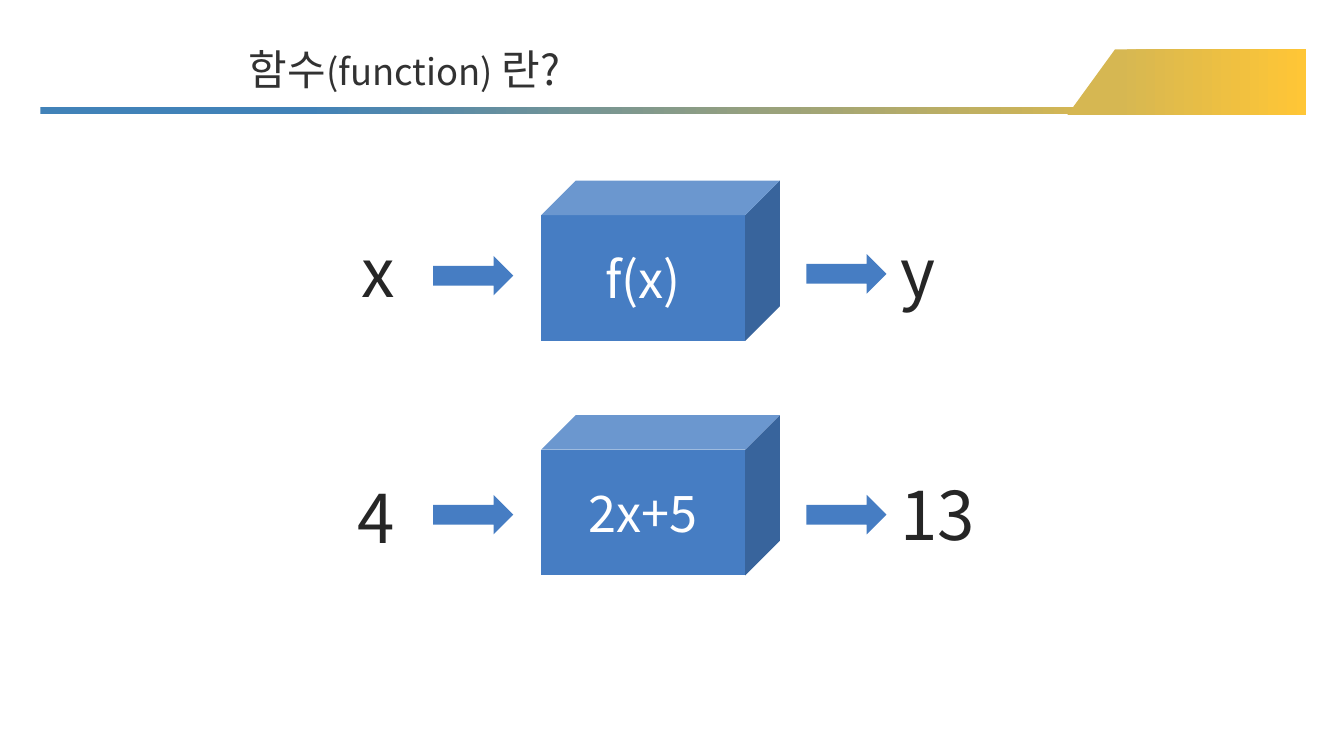
from dataclasses import dataclass

from lxml import etree
from pptx import Presentation
from pptx import util as u
from pptx.dml.color import RGBColor
from pptx.enum import shapes, text
from pptx.oxml import ns


@dataclass(frozen=True)
class Theme:
    font: str = "Noto Sans CJK KR"
    blue: str = "467DC3"
    white: str = "FFFFFF"
    title_ink: str = "323232"
    value_ink: str = "262626"
    bar: tuple = ("4182B8", "FFC636")
    tab: tuple = ("D6B752", "FFC636")
    title_size: int = 30
    title_small: int = 26
    box_size: int = 36
    value_size: int = 48


def points(*lengths):
    return [u.Pt(length) for length in lengths]


def apply(target, values):
    for name, value in values.items():
        setattr(target, name, value)


class SlideBuilder:
    def __init__(self, presentation, theme):
        self.theme = theme
        self.slide = presentation.slides.add_slide(presentation.slide_layouts[5])

    def fill_text(self, shape, runs, color, align, frame_format):
        apply(shape.text_frame, frame_format)
        paragraph = shape.text_frame.paragraphs[0]
        paragraph.alignment = align
        for words, size in runs:
            run = paragraph.add_run()
            run.text = words
            apply(run.font, {"name": self.theme.font, "size": u.Pt(size)})
            run.font.color.rgb = RGBColor.from_string(color)
            properties = run._r.get_or_add_rPr()
            east_asian = etree.SubElement(properties, ns.qn("a:ea"))
            east_asian.set("typeface", self.theme.font)

    def gradient(self, shape, colors):
        shape.shadow.inherit = False
        shape.line.fill.background()
        shape.fill.gradient()
        shape.fill.gradient_angle = 0
        for stop, position, color in zip(shape.fill.gradient_stops, (0.21, 1), colors):
            stop.position = position
            stop.color.rgb = RGBColor.from_string(color)

    def banner(self):
        bar = self.slide.shapes.add_shape(
            shapes.MSO_SHAPE.RECTANGLE, *points(28.8, 76.5, 904.3, 5.3))
        self.gradient(bar, self.theme.bar)
        outline = self.slide.shapes.build_freeform(*points(762.5, 82))
        outline.add_line_segments(
            [points(796.5, 35.2), points(933, 35.2), points(933, 82)])
        self.gradient(outline.convert_to_shape(), self.theme.tab)

    def title(self, runs, box):
        title = self.slide.shapes.title
        apply(title, dict(zip(("left", "top", "width", "height"), points(*box))))
        self.fill_text(title, runs, self.theme.title_ink, text.PP_ALIGN.LEFT, {
            "word_wrap": False,
            "auto_size": text.MSO_AUTO_SIZE.SHAPE_TO_FIT_TEXT,
            "vertical_anchor": text.MSO_ANCHOR.TOP,
        })

    def solid(self, kind, box):
        shape = self.slide.shapes.add_shape(kind, *points(*box))
        shape.shadow.inherit = False
        shape.line.fill.background()
        shape.fill.solid()
        shape.fill.fore_color.rgb = RGBColor.from_string(self.theme.blue)
        return shape

    def arrow(self, left, top):
        self.solid(shapes.MSO_SHAPE.RIGHT_ARROW, (left, top, 57.2, 28.2))

    def function_box(self, formula, top):
        cube = self.solid(shapes.MSO_SHAPE.CUBE, (386.5, top, 170.5, 114.5))
        cube.adjustments[0] = 0.216
        self.fill_text(cube, [(formula, self.theme.box_size)], self.theme.white,
                       text.PP_ALIGN.CENTER,
                       {"vertical_anchor": text.MSO_ANCHOR.MIDDLE})

    def value(self, words, left, top, width, align):
        box = self.slide.shapes.add_textbox(*points(left, top, width, 65.5))
        self.fill_text(box, [(words, self.theme.value_size)], self.theme.value_ink, align, {
            "word_wrap": True,
            "auto_size": text.MSO_AUTO_SIZE.SHAPE_TO_FIT_TEXT,
        })

    def function_row(self, given, formula, result, tops):
        given_top, arrow_in_top, cube_top, arrow_out_top, result_top = tops
        self.value(given, 190.8, given_top, 98.6, text.PP_ALIGN.RIGHT)
        self.arrow(309.5, arrow_in_top)
        self.function_box(formula, cube_top)
        self.arrow(576, arrow_out_top)
        self.value(result, 635.8, result_top, 133.2, text.PP_ALIGN.LEFT)


def main():
    presentation = Presentation()
    apply(presentation, {"slide_width": u.Pt(960), "slide_height": u.Pt(540)})
    theme = Theme()
    builder = SlideBuilder(presentation, theme)
    builder.banner()
    builder.title([("함수", theme.title_size), ("(function) ", theme.title_small),
                   ("란?", theme.title_size)], (170.6, 27.4, 247, 44))
    builder.function_row("x", "f(x)", "y", (161.3, 182.8, 129, 181.5, 161.3))
    builder.function_row("4", "2x+5", "13", (337, 353.5, 296.5, 353.5, 334.8))
    presentation.save("out.pptx")


if __name__ == "__main__":
    main()
